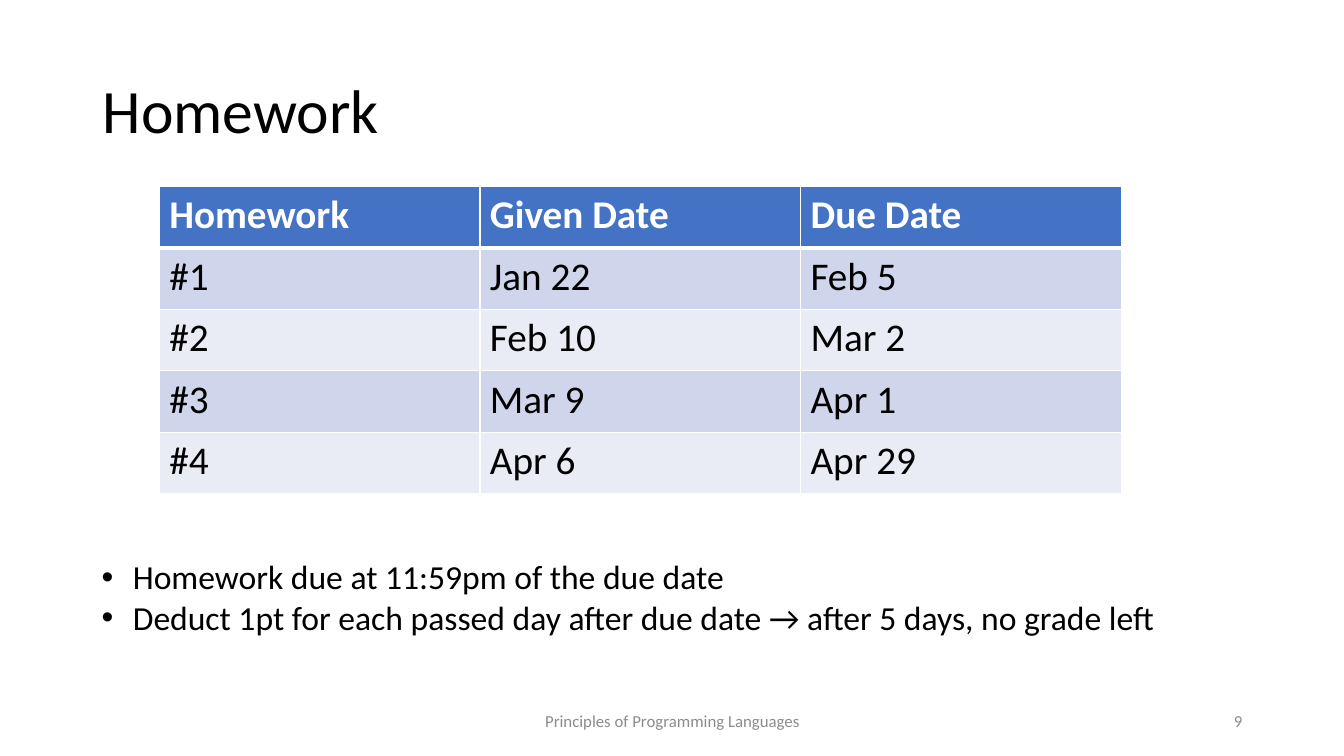
from pptx import Presentation
from pptx.dml.color import RGBColor
from pptx.enum.text import MSO_ANCHOR, PP_ALIGN
from pptx.oxml.ns import qn
from pptx.util import Inches, Pt
from lxml.etree import SubElement

BLACK = RGBColor(0x00, 0x00, 0x00)
WHITE = RGBColor(0xFF, 0xFF, 0xFF)
GRAY = RGBColor(0x8C, 0x8C, 0x8C)
BLUE = RGBColor(0x44, 0x72, 0xC4)
BANDS = [RGBColor(0xE9, 0xEB, 0xF5), RGBColor(0xCF, 0xD5, 0xEA)]


class Painter:
    face = "Calibri"

    def __init__(self, slide):
        self.slide = slide

    def place(self, shape, box):
        for name, value in zip(("left", "top", "width", "height"), box):
            setattr(shape, name, Inches(value))

    def style(self, para, size, color, bold=False):
        look = {"name": self.face, "size": Pt(size), "bold": bold}
        for run in para.runs:
            for name, value in look.items():
                setattr(run.font, name, value)
            run.font.color.rgb = color

    def title(self, text, box):
        shape = self.slide.shapes.title
        self.place(shape, box)
        frame = shape.text_frame
        frame.text = text
        frame.vertical_anchor = MSO_ANCHOR.MIDDLE
        para = frame.paragraphs[0]
        para.alignment = PP_ALIGN.LEFT
        para.line_spacing = 0.9
        self.style(para, 44, BLACK)

    def text(self, lines, box, size, color, align=PP_ALIGN.LEFT,
             anchor=MSO_ANCHOR.MIDDLE, wrap=True):
        frame = self.slide.shapes.add_textbox(*map(Inches, box)).text_frame
        frame.word_wrap = wrap
        frame.vertical_anchor = anchor
        frame.text = "\n".join(lines)
        for para in frame.paragraphs:
            para.alignment = align
            self.style(para, size, color)
        return frame

    def bullets(self, lines, box):
        frame = self.text(lines, box, 24, BLACK,
                          anchor=MSO_ANCHOR.TOP, wrap=False)
        for para in frame.paragraphs:
            props = para._p.get_or_add_pPr()
            props.set("marL", str(Inches(0.31)))
            props.set("indent", str(Inches(-0.31)))
            SubElement(props, qn("a:buFont"), typeface="Arial")
            SubElement(props, qn("a:buChar"), char="•")

    def border(self, cell, side, width):
        line = SubElement(cell._tc.get_or_add_tcPr(), qn("a:ln" + side),
                          w=str(Pt(width)))
        fill = SubElement(line, qn("a:solidFill"))
        SubElement(fill, qn("a:srgbClr"), val=str(WHITE))

    def table(self, rows, left, top, wide, high):
        count = len(rows[0])
        table = self.slide.shapes.add_table(
            len(rows), count, Inches(left), Inches(top),
            Inches(wide * count), Inches(high * len(rows))).table
        for r, row in enumerate(rows):
            head = r == 0
            for c, text in enumerate(row):
                cell = table.cell(r, c)
                cell.text = text
                self.style(cell.text_frame.paragraphs[0], 28,
                           WHITE if head else BLACK, head)
                edges = {"L": 1, "R": 1, "T": 3 if r == 1 else 1,
                         "B": 3 if head else 1}
                for side, width in edges.items():
                    self.border(cell, side, width)
                cell.fill.solid()
                cell.fill.fore_color.rgb = BLUE if head else BANDS[r % 2]


deck = Presentation()
deck.slide_width = Inches(13.33)
deck.slide_height = Inches(7.5)
page = Painter(deck.slides.add_slide(deck.slide_layouts[5]))

page.title("Homework", (0.92, 0.4, 11.5, 1.45))
page.text(["Principles of Programming Languages"], (4.42, 6.95, 4.5, 0.4),
          12, GRAY, PP_ALIGN.CENTER)
page.text(["9"], (9.42, 6.95, 3, 0.4), 12, GRAY, PP_ALIGN.RIGHT)
page.table([
    ("Homework", "Given Date", "Due Date"),
    ("#1", "Jan 22", "Feb 5"),
    ("#2", "Feb 10", "Mar 2"),
    ("#3", "Mar 9", "Apr 1"),
    ("#4", "Apr 6", "Apr 29"),
], 1.58, 1.85, 3.18, 0.61)
page.bullets([
    "Homework due at 11:59pm of the due date",
    "Deduct 1pt for each passed day after due date → after 5 days, "
    "no grade left ",
], (0.91, 5.47, 10.87, 0.91))

deck.save("out.pptx")
